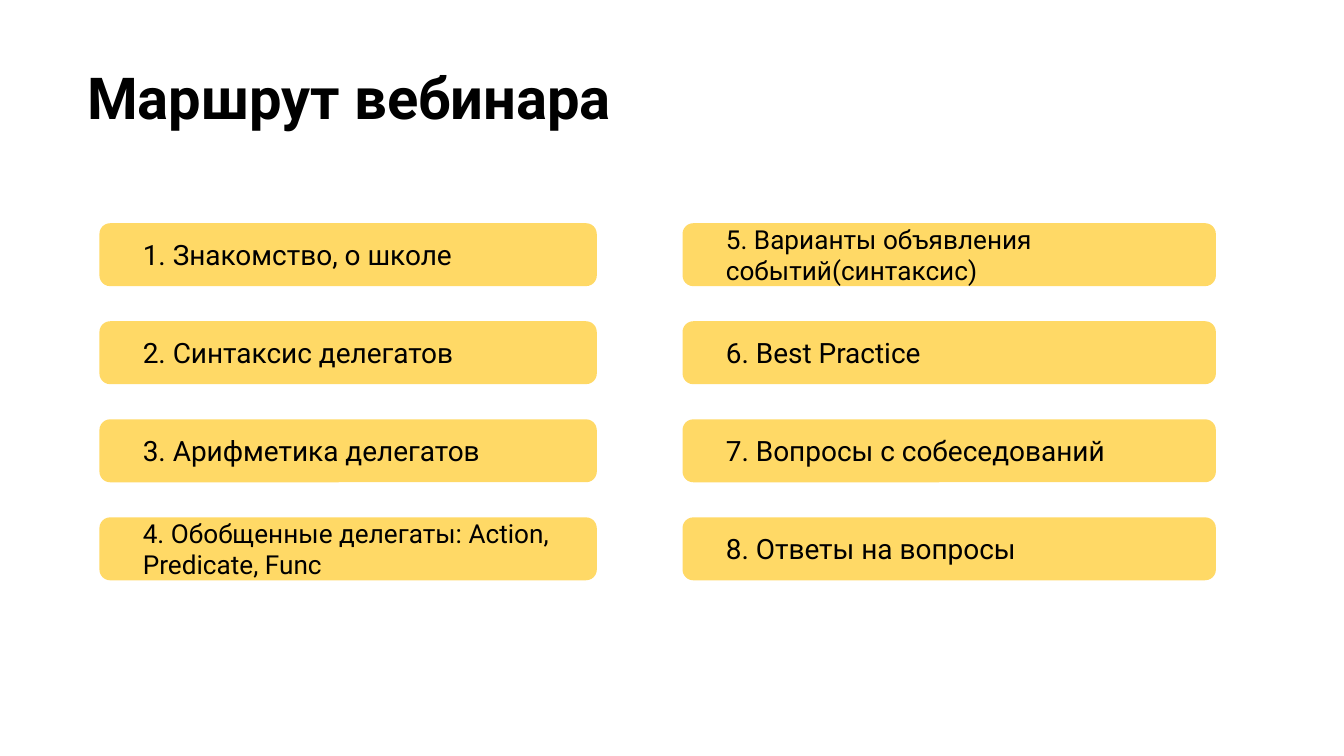
from pptx import Presentation
from pptx.dml.color import RGBColor
from pptx.enum.shapes import MSO_SHAPE
from pptx.enum.text import MSO_ANCHOR, MSO_AUTO_SIZE, PP_ALIGN
from pptx.util import Cm, Pt

ROUNDED = MSO_SHAPE.ROUNDED_RECTANGLE
TOP, MIDDLE = MSO_ANCHOR.TOP, MSO_ANCHOR.MIDDLE
NO_AUTOFIT = MSO_AUTO_SIZE.NONE
LEFT = PP_ALIGN.LEFT

FONT = "Roboto"
COLOURS = {"background": "FFFFFF", "text": "000000", "step": "FFD966"}
TITLE_ONLY = 5
STEP_HEIGHT = 1.19

FIRST_STEPS = [
    ("1. Знакомство, о школе", 15),
    ("2. Синтаксис делегатов", 15),
    ("3. Арифметика делегатов", 15),
    ("4. Обобщенные делегаты: Action, Predicate, Func", 14),
]
LAST_STEPS = [
    ("5. Варианты объявления событий(синтаксис)", 14),
    ("6. Best Practice", 15),
    ("7. Вопросы с собеседований", 15),
    ("8. Ответы на вопросы", 15),
]


def colour(name):
    return RGBColor.from_string(COLOURS[name])


def write_text(shape, text, size, anchor, side_inset, bold=False):
    frame = shape.text_frame
    frame.text = text
    frame.word_wrap = True
    frame.auto_size = NO_AUTOFIT
    frame.vertical_anchor = anchor
    frame.margin_left = frame.margin_right = Cm(side_inset)
    frame.margin_top = frame.margin_bottom = Cm(0.25)
    paragraph = frame.paragraphs[0]
    paragraph.alignment = LEFT
    paragraph.font.name = FONT
    paragraph.font.size = Pt(size)
    paragraph.font.bold = bold
    paragraph.font.color.rgb = colour("text")


def place_title(slide, text, left, top, width, height):
    title = slide.shapes.title
    title.left, title.top = Cm(left), Cm(top)
    title.width, title.height = Cm(width), Cm(height)
    write_text(title, text, 31, TOP, 0.25, bold=True)


def place_steps(slide, steps, left, top, width, height):
    pitch = (height - STEP_HEIGHT) / (len(steps) - 1)
    for row, (text, size) in enumerate(steps):
        step = slide.shapes.add_shape(
            ROUNDED, Cm(left), Cm(top + row * pitch), Cm(width), Cm(STEP_HEIGHT)
        )
        step.adjustments[0] = 0.17
        step.shadow.inherit = False
        step.fill.solid()
        step.fill.fore_color.rgb = colour("step")
        step.line.fill.background()
        write_text(step, text, size, MIDDLE, 0.76)


def main():
    presentation = Presentation()
    presentation.slide_width, presentation.slide_height = Cm(25.4), Cm(14.29)
    slide = presentation.slides.add_slide(presentation.slide_layouts[TITLE_ONLY])
    slide.background.fill.solid()
    slide.background.fill.fore_color.rgb = colour("background")
    place_title(slide, "Маршрут вебинара", 1.4, 0.91, 23.67, 2.72)
    place_steps(slide, FIRST_STEPS, 1.88, 4.22, 9.4, 6.75)
    place_steps(slide, LAST_STEPS, 12.9, 4.22, 10.08, 6.75)
    presentation.save("out.pptx")


if __name__ == "__main__":
    main()
